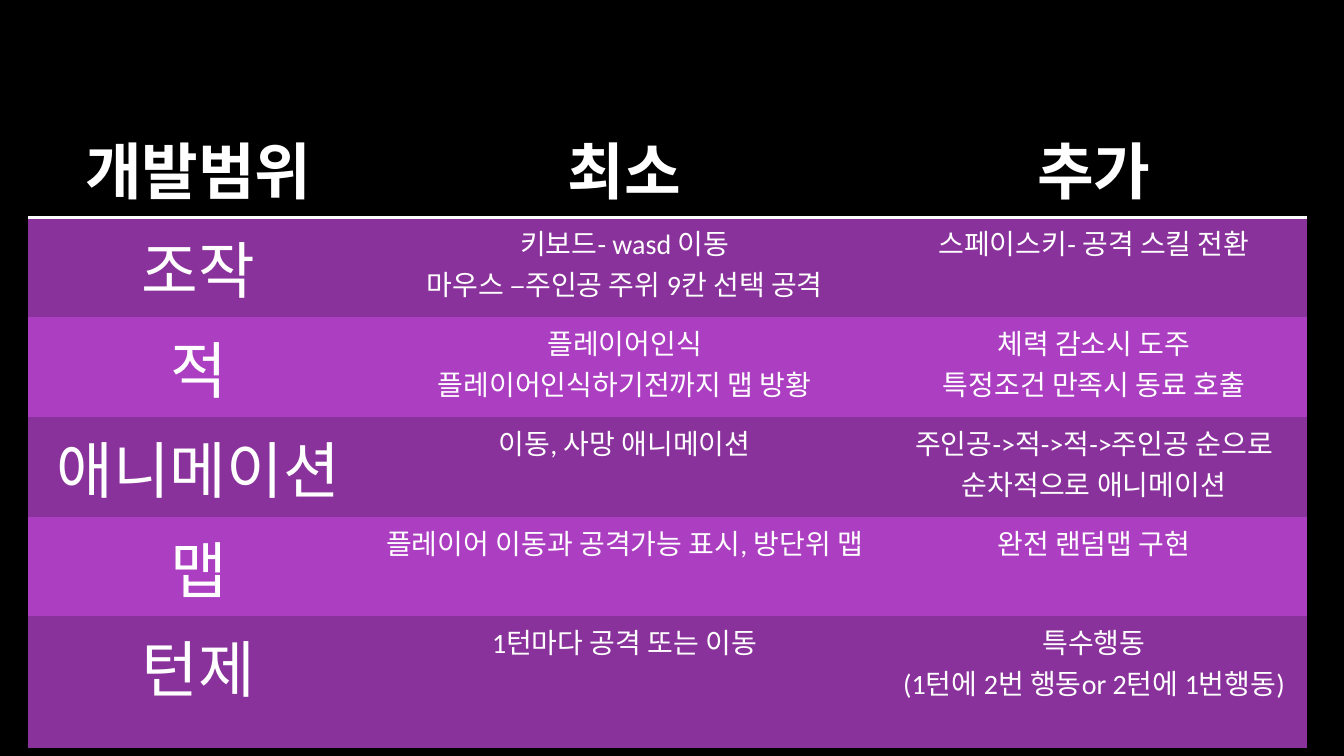
from lxml.etree import SubElement
from pptx import Presentation
from pptx.dml.color import RGBColor
from pptx.enum.text import PP_ALIGN
from pptx.oxml import parse_xml
from pptx.oxml.ns import nsdecls, qn
from pptx.util import Pt

EMU_PER_PX = 9525
BLACK = RGBColor(0x00, 0x00, 0x00)
WHITE = RGBColor(0xFF, 0xFF, 0xFF)
DARK_PURPLE = RGBColor(0x8A, 0x32, 0x9B)
LIGHT_PURPLE = RGBColor(0xAC, 0x3E, 0xC1)
BAND_COLORS = (DARK_PURPLE, LIGHT_PURPLE)
PLAIN_TABLE_STYLE = "{2D5ABB26-0587-4C30-8999-92F81FD0307C}"

TABLE_LEFT, TABLE_TOP = 27, 112
COLUMN_WIDTHS = (324, 488, 406)
ROW_HEIGHT = 95

HEADER = ("개발범위", "최소", "추가")
SCOPE_ROWS = (
    ("조작", "키보드- wasd 이동\n마우스 –주인공 주위 9칸 선택 공격", "스페이스키- 공격 스킬 전환"),
    ("적", "플레이어인식\n플레이어인식하기전까지 맵 방황", "체력 감소시 도주\n특정조건 만족시 동료 호출"),
    ("애니메이션", "이동, 사망 애니메이션", "주인공->적->적->주인공 순으로 순차적으로 애니메이션"),
    ("맵", "플레이어 이동과 공격가능 표시, 방단위 맵", "완전 랜덤맵 구현"),
    ("턴제", "1턴마다 공격 또는 이동", "특수행동\n(1턴에 2번 행동or 2턴에 1번행동)"),
)


def px(length):
    """Turn whole pixels into EMU."""
    return length * EMU_PER_PX


class SlideBuilder:
    """Hold the text style and the current slide."""

    formats = {
        "header": {"size": Pt(44), "bold": True, "name": "Calibri"},
        "topic": {"size": Pt(44), "bold": False, "name": "Calibri"},
        "detail": {"size": Pt(20), "bold": False, "name": "Calibri"},
    }

    def __init__(self, presentation):
        """Add a blank slide with a black background."""
        self.slide = presentation.slides.add_slide(presentation.slide_layouts[6])
        fill = self.slide.background.fill
        fill.solid()
        fill.fore_color.rgb = BLACK

    def fill_cell(self, cell, text, style, color):
        """Write centred text on a solid cell."""
        cell.fill.solid()
        cell.fill.fore_color.rgb = color
        cell.text = text
        for paragraph in cell.text_frame.paragraphs:
            paragraph.alignment = PP_ALIGN.CENTER
            for run in paragraph.runs:
                for attribute, value in self.formats[style].items():
                    setattr(run.font, attribute, value)
                run.font.color.rgb = WHITE

    def underline_cell(self, cell, color, width):
        """Draw the bottom border of a cell."""
        border = parse_xml(f'<a:lnB {nsdecls("a")} w="{width}"/>')
        fill = SubElement(border, qn("a:solidFill"))
        SubElement(fill, qn("a:srgbClr"), val=str(color))
        cell._tc.get_or_add_tcPr().insert(0, border)

    def add_table(self, header, rows):
        """Add a table with a header and banded rows."""
        frame = self.slide.shapes.add_table(
            len(rows) + 1, len(header), px(TABLE_LEFT), px(TABLE_TOP),
            px(sum(COLUMN_WIDTHS)), px(ROW_HEIGHT * (len(rows) + 1)))
        table = frame.table
        table._tbl.tblPr.find(qn("a:tableStyleId")).text = PLAIN_TABLE_STYLE
        for column, width in zip(table.columns, COLUMN_WIDTHS):
            column.width = px(width)
        for column_index, title in enumerate(header):
            cell = table.cell(0, column_index)
            self.fill_cell(cell, title, "header", BLACK)
            self.underline_cell(cell, WHITE, Pt(2))
        for row_index, row in enumerate(rows):
            color = BAND_COLORS[row_index % 2]
            for column_index, text in enumerate(row):
                style = "detail" if column_index else "topic"
                self.fill_cell(table.cell(row_index + 1, column_index), text, style, color)


def main():
    """Build and save the development scope slide."""
    presentation = Presentation()
    presentation.slide_width = px(1280)
    presentation.slide_height = px(720)
    builder = SlideBuilder(presentation)
    builder.add_table(HEADER, SCOPE_ROWS)
    presentation.save("out.pptx")


if __name__ == "__main__":
    main()
